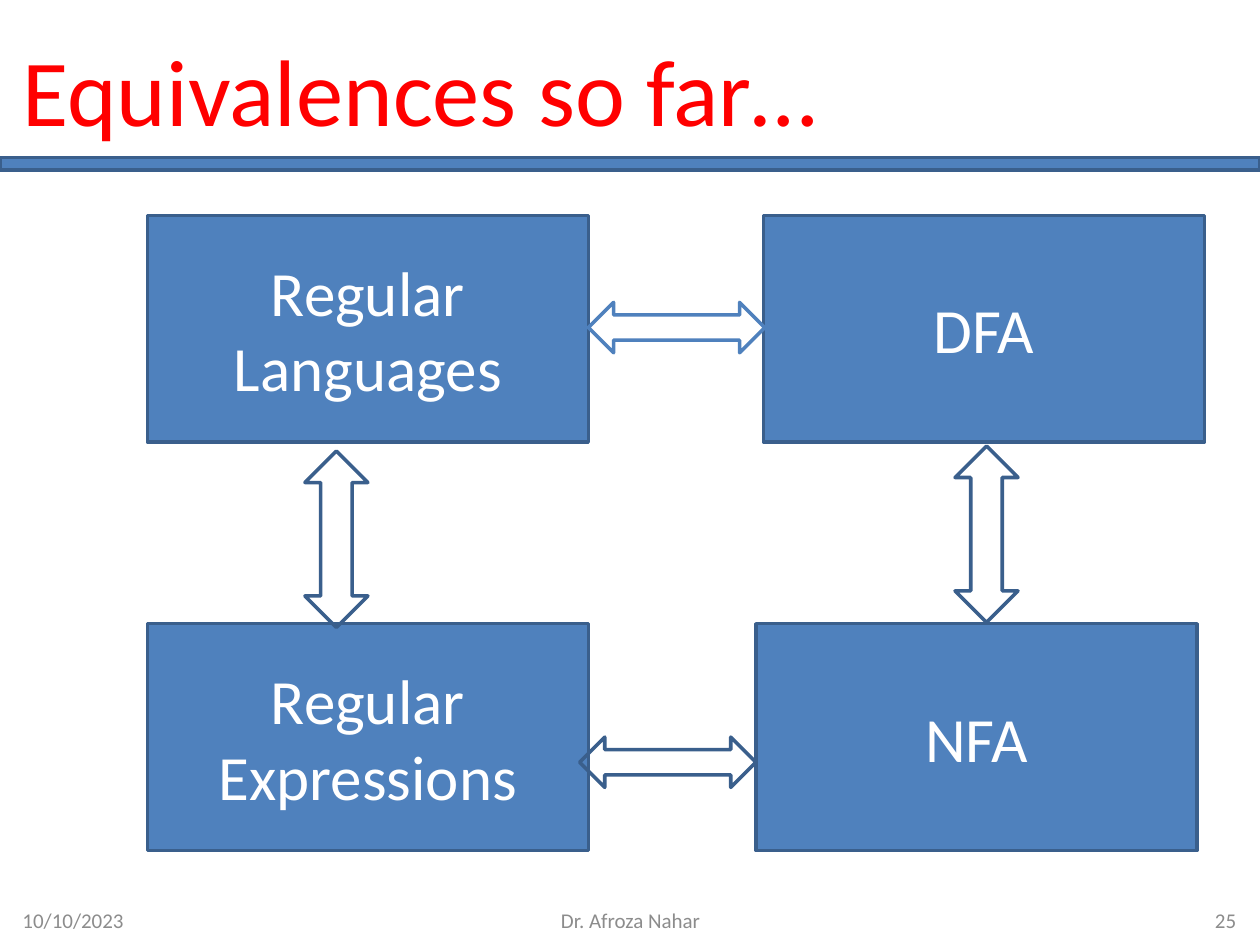
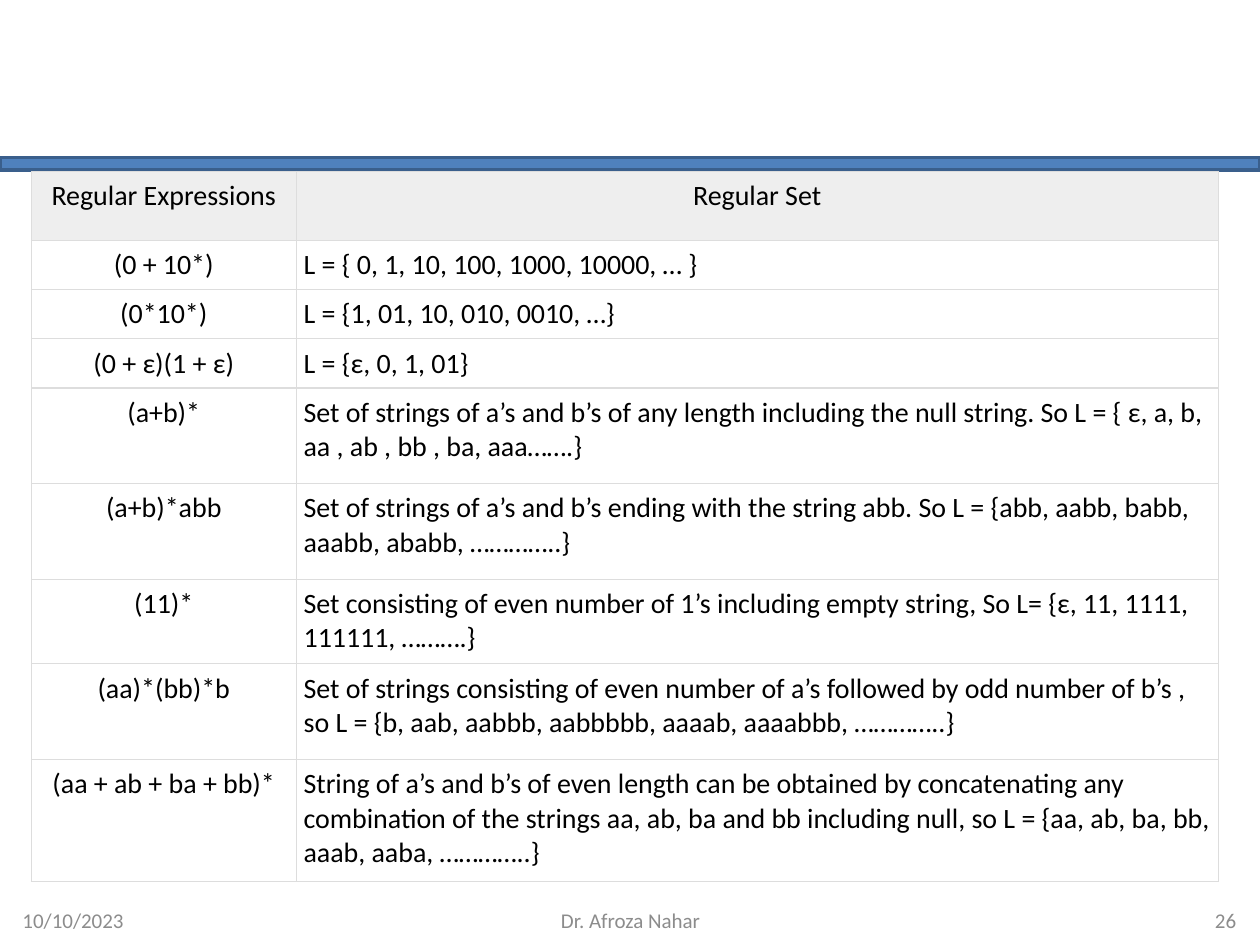
"""Build two slides on regular languages: their equivalences and sample regular sets."""
import dataclasses

import pptx
import pptx.dml.color
import pptx.enum.shapes
import pptx.enum.text
import pptx.oxml
import pptx.oxml.ns
import pptx.util

Inches = pptx.util.Inches
Shape = pptx.enum.shapes.MSO_SHAPE
Align = pptx.enum.text.PP_ALIGN
Anchor = pptx.enum.text.MSO_ANCHOR


@dataclasses.dataclass(frozen=True)
class Theme:
    font: str = "Calibri"
    blue: str = "4F81BD"
    edge: str = "3A5F8C"
    red: str = "FF0000"
    white: str = "FFFFFF"
    black: str = "000000"
    gray: str = "8C8C8C"
    header: str = "EEEEEE"
    rule: str = "DDDDDD"
    title_size: int = 54
    box_size: int = 36
    table_size: int = 16
    footer_size: int = 12
    line_width: float = 2
    rule_width: float = 0.75


THEME = Theme()

TITLE = "Equivalences so far…"
BAND = (0, 1.25, 10, 0.1)
TITLE_AREA = (0.08, 0.08, 9, 1.25)

BOX_SIZE = (3.5, 1.8)
MODELS = [
    ("Regular Languages", 1.17, 1.71),
    ("DFA", 6.06, 1.71),
    ("Regular Expressions", 1.17, 4.95),
    ("NFA", 6, 4.95),
]

VERTICAL = (Shape.UP_DOWN_ARROW, 0.5, 1.4)
HORIZONTAL = (Shape.LEFT_RIGHT_ARROW, 1.4, 0.4)
ARROWS = [
    (VERTICAL, 7.58, 3.54, THEME.edge),
    (VERTICAL, 2.42, 3.58, THEME.edge),
    (HORIZONTAL, 4.67, 2.4, THEME.blue),
    (HORIZONTAL, 4.6, 5.85, THEME.edge),
]

TABLE_CORNER = (0.25, 1.36)
COLUMN_WIDTHS = (2.1, 7.32)
CELL_MARGIN = 0.06
REGULAR_SETS = [
    (0.55, "Regular Expressions", "Regular Set"),
    (0.39, "(0 + 10*)", "L = { 0, 1, 10, 100, 1000, 10000, … }"),
    (0.39, "(0*10*)", "L = {1, 01, 10, 010, 0010, …}"),
    (0.39, "(0 + ε)(1 + ε)", "L = {ε, 0, 1, 01}"),
    (0.76, "(a+b)*", "Set of strings of a’s and b’s of any length including the null string. "
     "So L = { ε, a, b, aa , ab , bb , ba, aaa…….}"),
    (0.76, "(a+b)*abb", "Set of strings of a’s and b’s ending with the string abb. "
     "So L = {abb, aabb, babb, aaabb, ababb, …………..}"),
    (0.67, "(11)*", "Set consisting of even number of 1’s including empty string, "
     "So L= {ε, 11, 1111, 111111, ……….}"),
    (0.76, "(aa)*(bb)*b", "Set of strings consisting of even number of a’s followed by odd number "
     "of b’s , so L = {b, aab, aabbb, aabbbbb, aaaab, aaaabbb, …………..}"),
    (0.97, "(aa + ab + ba + bb)*", "String of a’s and b’s of even length can be obtained by "
     "concatenating any combination of the strings aa, ab, ba and bb including null, "
     "so L = {aa, ab, ba, bb, aaab, aaba, …………..}"),
]

FIRST_NUMBER = 25
FOOTER_TOP, FOOTER_HEIGHT = 7.1, 0.4
FOOTERS = [
    ("10/10/2023", 0.08, 2.33, Align.LEFT),
    ("Dr. Afroza Nahar", 3.42, 3.17, Align.CENTER),
    ("{number}", 7.58, 2.33, Align.RIGHT),
]


def color(code):
    return pptx.dml.color.RGBColor.from_string(code)


def write(frame, text, *, size, ink, align=Align.LEFT, anchor=Anchor.MIDDLE):
    frame.word_wrap = True
    frame.vertical_anchor = anchor
    para = frame.paragraphs[0]
    para.alignment = align
    span = para.add_run()
    span.text = text
    span.font.name = THEME.font
    span.font.size = pptx.util.Pt(size)
    span.font.bold = False
    span.font.color.rgb = color(ink)


def add_figure(page, kind, area, *, fill=None, line=THEME.edge):
    figure = page.shapes.add_shape(kind, *map(Inches, area))
    figure.shadow.inherit = False
    if fill:
        figure.fill.solid()
        figure.fill.fore_color.rgb = color(fill)
    else:
        figure.fill.background()
    figure.line.color.rgb = color(line)
    figure.line.width = pptx.util.Pt(THEME.line_width)
    return figure


def add_page(deck, layout, number):
    page = deck.slides.add_slide(deck.slide_layouts.get_by_name(layout))
    add_figure(page, Shape.RECTANGLE, BAND, fill=THEME.blue)
    for text, left, width, align in FOOTERS:
        area = (left, FOOTER_TOP, width, FOOTER_HEIGHT)
        box = page.shapes.add_textbox(*map(Inches, area))
        write(box.text_frame, text.format(number=number),
              size=THEME.footer_size, ink=THEME.gray, align=align)
    return page


def add_equivalences(page):
    title = page.shapes.title
    title.left, title.top, title.width, title.height = map(Inches, TITLE_AREA)
    title.text_frame.auto_size = pptx.enum.text.MSO_AUTO_SIZE.NONE
    write(title.text_frame, TITLE, size=THEME.title_size, ink=THEME.red)
    for name, left, top in MODELS:
        box = add_figure(page, Shape.RECTANGLE, (left, top, *BOX_SIZE), fill=THEME.blue)
        write(box.text_frame, name, size=THEME.box_size, ink=THEME.white, align=Align.CENTER)
    for (kind, width, height), left, top, line in ARROWS:
        add_figure(page, kind, (left, top, width, height), line=line)


def draw_borders(cell):
    properties = cell._tc.get_or_add_tcPr()
    for side in ("lnL", "lnR", "lnT", "lnB"):
        properties.append(pptx.oxml.parse_xml(
            f'<a:{side} {pptx.oxml.ns.nsdecls("a")} w="{pptx.util.Pt(THEME.rule_width)}">'
            f'<a:solidFill><a:srgbClr val="{THEME.rule}"/></a:solidFill></a:{side}>'))


def add_regular_sets(page):
    heights = [height for height, *_ in REGULAR_SETS]
    area = (*TABLE_CORNER, sum(COLUMN_WIDTHS), sum(heights))
    table = page.shapes.add_table(len(heights), len(COLUMN_WIDTHS), *map(Inches, area)).table
    table.first_row = table.horz_banding = False
    for column, width in zip(table.columns, COLUMN_WIDTHS):
        column.width = Inches(width)
    for row_index, (height, *texts) in enumerate(REGULAR_SETS):
        table.rows[row_index].height = Inches(height)
        for column_index, text in enumerate(texts):
            cell = table.cell(row_index, column_index)
            draw_borders(cell)
            if row_index == 0:
                cell.fill.solid()
                cell.fill.fore_color.rgb = color(THEME.header)
            else:
                cell.fill.background()
            cell.margin_left = cell.margin_right = Inches(CELL_MARGIN)
            cell.margin_top = cell.margin_bottom = Inches(CELL_MARGIN)
            centered = row_index == 0 or column_index == 0
            write(cell.text_frame, text, size=THEME.table_size, ink=THEME.black,
                  align=Align.CENTER if centered else Align.LEFT, anchor=Anchor.TOP)


def main():
    deck = pptx.Presentation()
    deck.slide_width, deck.slide_height = Inches(10), Inches(7.5)
    pages = [("Title Only", add_equivalences), ("Blank", add_regular_sets)]
    for number, (layout, fill_page) in enumerate(pages, FIRST_NUMBER):
        fill_page(add_page(deck, layout, number))
    deck.save("out.pptx")


if __name__ == "__main__":
    main()
